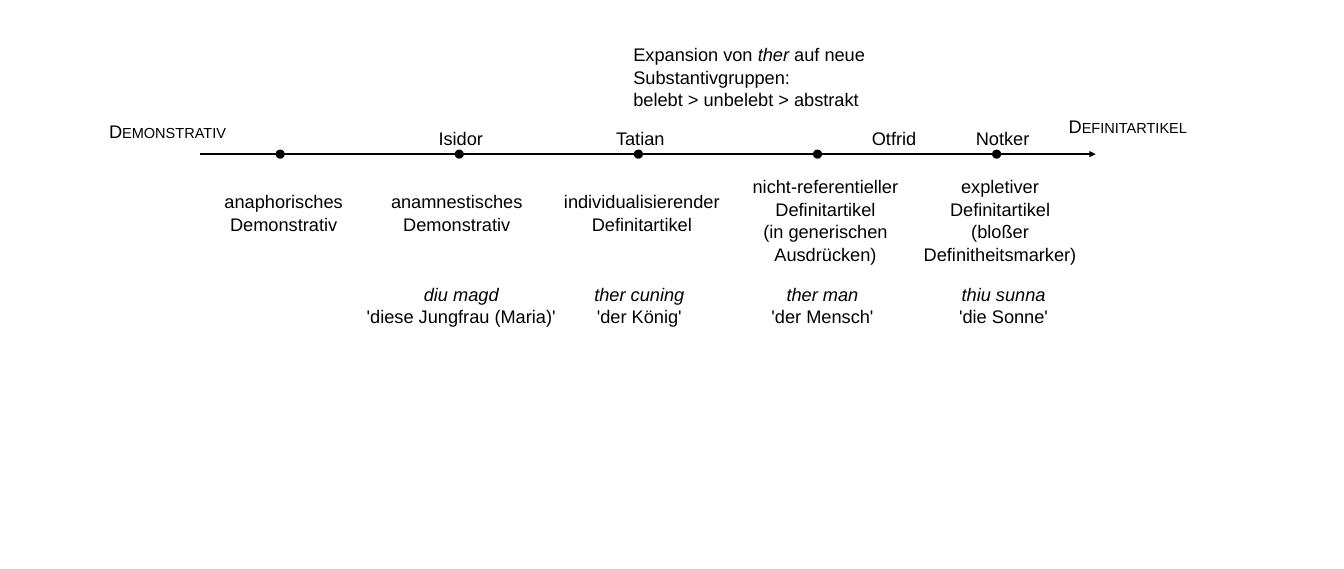
"""Draw the path from demonstrative to definite article as a timeline."""
from lxml.etree import SubElement
from pptx import Presentation
from pptx.dml.color import RGBColor
from pptx.enum.shapes import MSO_CONNECTOR, MSO_SHAPE
from pptx.enum.text import PP_ALIGN
from pptx.oxml.ns import qn
from pptx.util import Inches, Pt

SCALE = 914400 / 75.8


def px(count):
    return round(count * SCALE)


def tint(code):
    return RGBColor.from_string(code)


class Sketch:
    font, size, ink, lead = "Arial", 17.3, "000000", 1.03

    def __init__(self, slide):
        self.slide = slide

    def text(self, left, top, width, height, words, align=PP_ALIGN.CENTER,
             inset=2, caps=False):
        """Add a text box, one paragraph a line; *stars* mark italics."""
        box = self.slide.shapes.add_textbox(*map(px, (left, top, width, height)))
        frame = box.text_frame
        frame.word_wrap = True
        frame.margin_left, frame.margin_right = px(inset), px(8)
        frame.margin_top = frame.margin_bottom = px(4)
        for row, line in enumerate(words.split("\n")):
            para = frame.paragraphs[0] if row == 0 else frame.add_paragraph()
            para.alignment, para.line_spacing = align, self.lead
            para.font.name, para.font.size = self.font, Pt(self.size)
            para.font.color.rgb = tint(self.ink)
            for part, piece in enumerate(line.split("*")):
                if piece:
                    run = para.add_run()
                    run.text = piece
                    if part % 2:
                        run.font.italic = True
                    if caps:
                        run.font._element.set("cap", "small")

    def arrow(self, left, right, level):
        """Add a horizontal arrow pointing right."""
        line = self.slide.shapes.add_connector(
            MSO_CONNECTOR.STRAIGHT, px(left), px(level), px(right), px(level))
        line.line.color.rgb, line.line.width = tint(self.ink), Pt(2)
        SubElement(line.line._get_or_add_ln(), qn("a:tailEnd"), type="triangle")
        SubElement(line._element.spPr, qn("a:effectLst"))

    def dot(self, mid, level, size=7):
        """Add a filled dot around a point."""
        dot = self.slide.shapes.add_shape(
            MSO_SHAPE.OVAL, px(mid - size / 2), px(level - size / 2),
            px(size), px(size))
        dot.shadow.inherit = False
        dot.fill.solid()
        dot.fill.fore_color.rgb = dot.line.color.rgb = tint(self.ink)
        dot.line.width = Pt(2)


deck = Presentation()
deck.slide_width, deck.slide_height = Inches(17.72), Inches(7.5)
art = Sketch(deck.slides.add_slide(deck.slide_layouts[6]))

AXIS = 154
art.arrow(200, 1095, AXIS)
for step in range(5):
    art.dot(280 + 179 * step, AXIS)

for left, top, words in [(107, 116, "Demonstrativ"), (1066, 111, "Definitartikel")]:
    art.text(left, top, 147, 30, words, PP_ALIGN.JUSTIFY, caps=True)

art.text(631, 39, 380, 72, "Expansion von *ther* auf neue\nSubstantivgruppen:\n"
         "belebt > unbelebt > abstrakt", PP_ALIGN.LEFT)

for left, width, name in [(399, 129, "Isidor"), (586, 114, "Tatian"),
                          (842, 109, "Otfrid"), (965, 80, "Notker")]:
    art.text(left, 123, width, 26, name)

STAGES = [
    (212, 186, 149, "anaphorisches\nDemonstrativ"),
    (385, 186, 149, "anamnestisches\nDemonstrativ"),
    (552, 186, 185, "individualisierender\nDefinitartikel"),
    (746, 171, 164, "nicht-referentieller\nDefinitartikel\n(in generischen\nAusdrücken)"),
    (892, 171, 221, "expletiver\nDefinitartikel\n(bloßer\nDefinitheitsmarker)"),
]
for left, top, width, words in STAGES:
    art.text(left, top, width, 22 * words.count("\n") + 30, words)

for left, width, words in [(354, 214, "*diu magd*\n'diese Jungfrau (Maria)'"),
                           (584, 110, "*ther cuning*\n'der König'"),
                           (758, 128, "*ther man*\n'der Mensch'"),
                           (948, 110, "*thiu sunna*\n'die Sonne'")]:
    art.text(left, 278, width, 54, words, inset=8)

deck.save("out.pptx")
